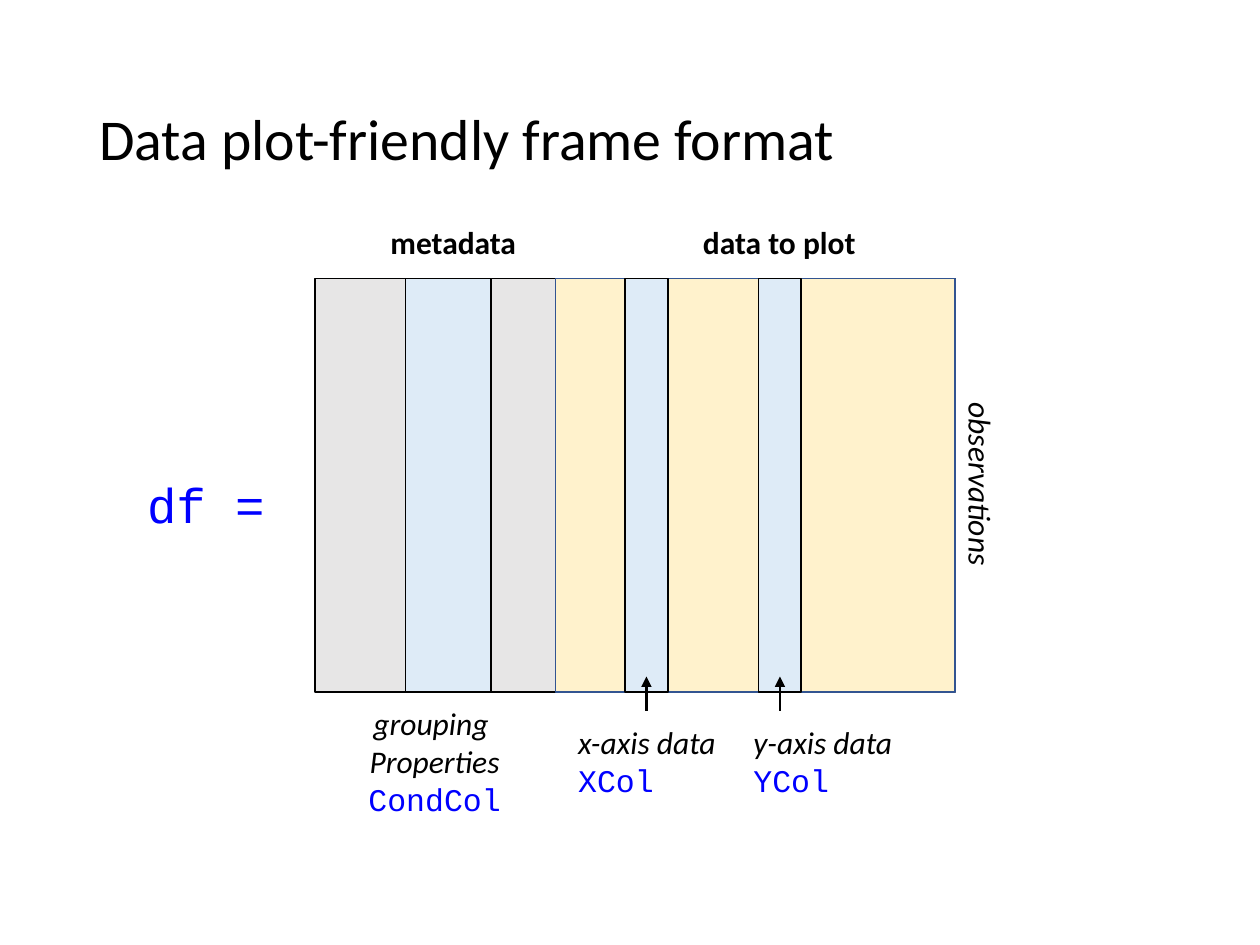
"""Build the slide on the plot-friendly data frame format."""
from lxml import etree
from pptx import Presentation
from pptx.dml.color import RGBColor
from pptx.enum.shapes import MSO_CONNECTOR, MSO_SHAPE
from pptx.enum.text import MSO_ANCHOR, MSO_AUTO_SIZE, PP_ALIGN
from pptx.oxml.ns import qn
from pptx.util import Pt

LEFT, CENTER = PP_ALIGN.LEFT, PP_ALIGN.CENTER
RECT, STRAIGHT = MSO_SHAPE.RECTANGLE, MSO_CONNECTOR.STRAIGHT
MIDDLE = MSO_ANCHOR.MIDDLE
NO_FIT, GROW = MSO_AUTO_SIZE.NONE, MSO_AUTO_SIZE.SHAPE_TO_FIT_TEXT

COLORS = {"black": "000000", "code": "0000FF", "meta": "E7E6E6",
          "data": "FFF2CC", "pick": "DEEBF7", "edge": "325491"}
STYLES = {
    "title": ("Calibri", 33, "black", False, False),
    "head": ("Calibri", 18, "black", True, False),
    "note": ("Calibri", 18, "black", False, True),
    "code": ("Courier New", 18, "code", False, False),
    "frame": ("Courier New", 28, "code", False, False),
}
TITLE = "Data plot-friendly frame format"
FRAME_TOP, FRAME_HEIGHT = 159.1, 236.2
COLUMNS = [
    (180, 365.8, "meta", "black"),
    (317.5, 228.3, "data", "edge"),
    (357.1, 24.5, "pick", "black"),
    (433.4, 24.5, "pick", "black"),
    (231.8, 49, "pick", "black"),
]
LABELS = [
    ((394.6, 123.8, 102.2, 29), 0, LEFT, [("data to plot", "head")]),
    ((216, 123.8, 87.1, 29), 0, LEFT, [("metadata", "head")]),
    ((77, 267.8, 82.1, 41), 0, LEFT, [("df =", "frame")]),
    ((506.2, 262.8, 108.7, 29), 90, LEFT, [("observations", "note")]),
    ((203, 398.9, 90.7, 72.7), 0, CENTER,
     [("grouping ", "note"), ("Properties", "note"), ("CondCol", "code")]),
    ((323.3, 409.7, 93.6, 51), 0, LEFT,
     [("x-axis data", "note"), ("XCol", "code")]),
    ((423.4, 409.7, 94.3, 51), 0, LEFT,
     [("y-axis data", "note"), ("YCol", "code")]),
]
ARROW_XS, ARROW_FROM, ARROW_TO = (369.4, 445.7), 406.1, 386.6


def rgb(name):
    return RGBColor.from_string(COLORS[name])


def add_text(p, text, style):
    r = p.add_run()
    r.text = text
    f = r.font
    f.name, size, color, f.bold, f.italic = STYLES[style]
    f.size = Pt(size)
    f.color.rgb = rgb(color)


def add_column(s, left, width, fill, line):
    sp = s.shapes.add_shape(RECT, Pt(left), Pt(FRAME_TOP), Pt(width), Pt(FRAME_HEIGHT))
    sp.shadow.inherit = False
    sp.fill.solid()
    sp.fill.fore_color.rgb = rgb(fill)
    sp.line.color.rgb = rgb(line)
    sp.line.width = Pt(1)


def add_label(s, box, rotation, align, lines):
    sp = s.shapes.add_textbox(*map(Pt, box))
    sp.rotation = rotation
    tf = sp.text_frame
    tf.word_wrap = False
    tf.auto_size = GROW
    for i, (text, style) in enumerate(lines):
        p = tf.add_paragraph() if i else tf.paragraphs[0]
        p.alignment = align
        add_text(p, text, style)


def add_arrow(s, x):
    c = s.shapes.add_connector(STRAIGHT, Pt(x), Pt(ARROW_FROM), Pt(x), Pt(ARROW_TO))
    c.line.color.rgb = rgb("black")
    c.line.width = Pt(1.5)
    etree.SubElement(c.line._get_or_add_ln(), qn("a:tailEnd"), type="triangle")
    etree.SubElement(c._element.spPr, qn("a:effectLst"))


prs = Presentation()
prs.slide_width, prs.slide_height = Pt(720), Pt(540)
s = prs.slides.add_slide(prs.slide_layouts[5])

title = s.shapes.title
title.left, title.top, title.width, title.height = map(Pt, (49.5, 28.8, 621, 104.4))
tf = title.text_frame
tf.auto_size = NO_FIT
tf.vertical_anchor = MIDDLE
p = tf.paragraphs[0]
p.alignment = LEFT
p.line_spacing = 0.9
add_text(p, TITLE, "title")

for column in COLUMNS:
    add_column(s, *column)
for label in LABELS:
    add_label(s, *label)
for x in ARROW_XS:
    add_arrow(s, x)

prs.save("out.pptx")
